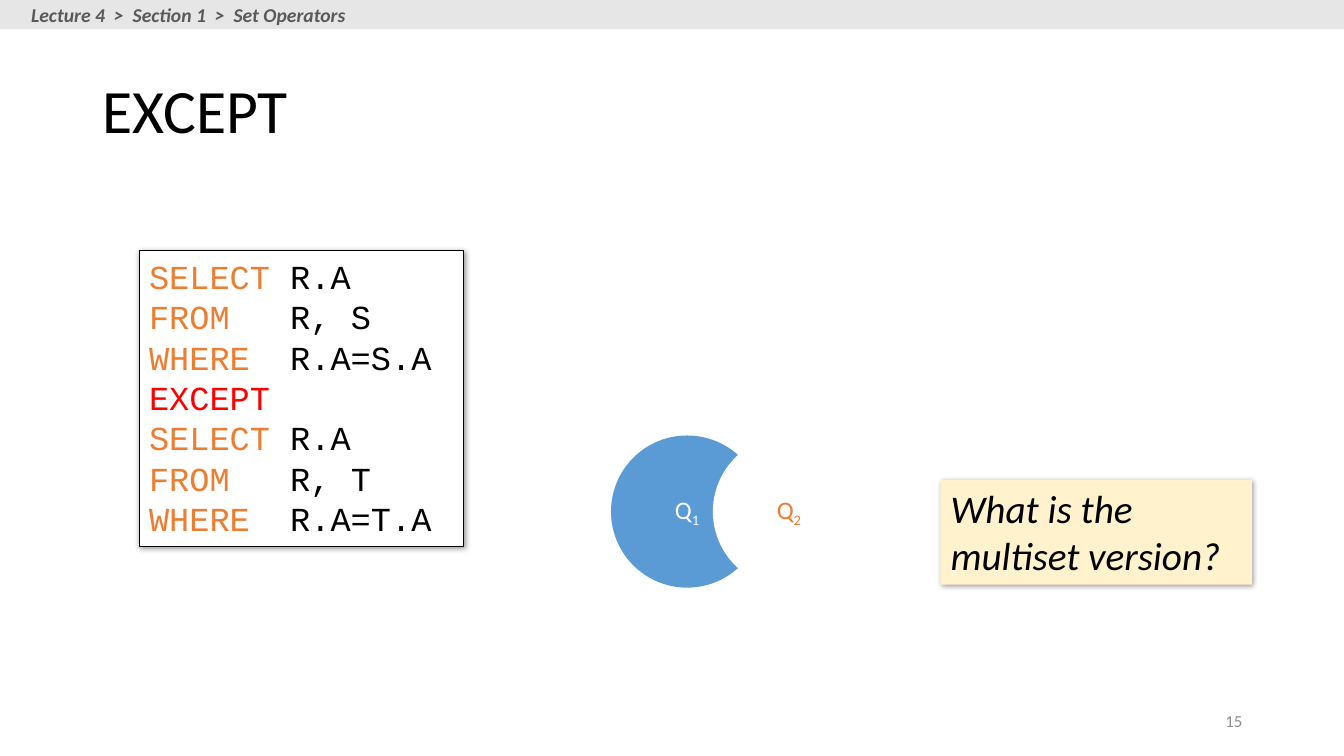
from dataclasses import dataclass

from lxml import etree
from pptx import Presentation
from pptx import util as u
from pptx.dml.color import RGBColor
from pptx.enum import shapes, text
from pptx.oxml.ns import qn


@dataclass(frozen=True)
class Theme:
    """Colours, fonts and type sizes of the deck."""
    body: str = "Calibri"
    mono: str = "Courier New"
    black: str = "000000"
    white: str = "FFFFFF"
    bar: str = "E7E6E6"
    crumb: str = "595959"
    number: str = "8C8C8C"
    keyword: str = "ED7D31"
    operator: str = "FF0000"
    blue: str = "5B9BD5"
    note: str = "FFF2CC"
    title_pt: int = 44
    note_pt: int = 28
    code_pt: int = 24
    label_pt: int = 18
    crumb_pt: int = 14
    number_pt: int = 12


T = Theme()
QUERY = [
    ("SELECT", " R.A"),
    ("FROM", "   R, S"),
    ("WHERE", "  R.A=S.A"),
    ("EXCEPT", ""),
    ("SELECT", " R.A"),
    ("FROM", "   R, T"),
    ("WHERE", "  R.A=T.A"),
]


def inches(*box):
    """Convert a box of numbers to lengths."""
    return [u.Inches(v) for v in box]


def style(p, size, color, name=T.body, bold=False, italic=False):
    """Set the font of a whole paragraph."""
    f = p.font
    f.name, f.size, f.bold, f.italic = name, u.Pt(size), bold, italic
    f.color.rgb = RGBColor.from_string(color)


def add_run(p, words, color=None, baseline=None):
    """Append a run with its own colour or baseline."""
    r = p.add_run()
    r.text = words
    if color:
        r.font.color.rgb = RGBColor.from_string(color)
    if baseline:
        r._r.get_or_add_rPr().set("baseline", str(baseline))


def add_panel(s, kind, box, fill, line=None):
    """Add a filled shape with left-aligned text starting at the top."""
    sp = s.shapes.add_shape(kind, *inches(*box))
    sp.shadow.inherit = False
    sp.fill.solid()
    sp.fill.fore_color.rgb = RGBColor.from_string(fill)
    if line:
        sp.line.color.rgb = RGBColor.from_string(line)
        sp.line.width = u.Pt(0.75)
    else:
        sp.line.fill.background()
    tf = sp.text_frame
    tf.word_wrap = True
    tf.vertical_anchor = text.MSO_ANCHOR.TOP
    tf.paragraphs[0].alignment = text.PP_ALIGN.LEFT
    return sp


def add_shadow(sp):
    """Give a shape a soft shadow to the lower right."""
    effects = sp._element.spPr.find(qn("a:effectLst"))
    shadow = etree.SubElement(effects, qn("a:outerShdw"), blurRad=str(u.Pt(4)),
                              dist=str(u.Pt(1)), dir=str(45 * 60000),
                              algn="tl", rotWithShape="0")
    color = etree.SubElement(shadow, qn("a:srgbClr"), val=T.black)
    etree.SubElement(color, qn("a:alpha"), val="40000")


def add_breadcrumb(s, box, words):
    """Draw the grey bar along the top with the lecture trail."""
    left, top, width, height = box
    add_panel(s, shapes.MSO_SHAPE.RECTANGLE, box, T.bar)
    tb = s.shapes.add_textbox(*inches(left + 0.21, top - 0.02, 3.36, 0.34))
    tb.text_frame.word_wrap = False
    p = tb.text_frame.paragraphs[0]
    p.text = words
    style(p, T.crumb_pt, T.crumb, bold=True, italic=True)


def add_title(s, box, words):
    """Fill and place the title placeholder."""
    sp = s.shapes.title
    sp.left, sp.top, sp.width, sp.height = inches(*box)
    tf = sp.text_frame
    tf.text = words
    tf.auto_size = text.MSO_AUTO_SIZE.NONE
    tf.vertical_anchor = text.MSO_ANCHOR.MIDDLE
    p = tf.paragraphs[0]
    p.alignment = text.PP_ALIGN.LEFT
    p.line_spacing = 0.9
    style(p, T.title_pt, T.black)


def add_query(s, box, lines):
    """Write the SQL query in a framed box with coloured keywords."""
    sp = add_panel(s, shapes.MSO_SHAPE.RECTANGLE, box, T.white, T.black)
    add_shadow(sp)
    tf = sp.text_frame
    for i, (keyword, rest) in enumerate(lines):
        p = tf.add_paragraph() if i else tf.paragraphs[0]
        p.alignment = text.PP_ALIGN.LEFT
        style(p, T.code_pt, T.black, T.mono)
        add_run(p, keyword, T.operator if keyword == "EXCEPT" else T.keyword)
        if rest:
            add_run(p, rest)


def add_difference(s, box):
    """Draw Q1 with the overlapping circle Q2 cut out of it."""
    left, top, width, size = box
    circles = [("1", left, T.blue, T.white),
               ("2", left + width - size, T.white, T.keyword)]
    for index, x, fill, color in circles:
        sp = add_panel(s, shapes.MSO_SHAPE.OVAL, (x, top, size, size), fill)
        sp.text_frame.vertical_anchor = text.MSO_ANCHOR.MIDDLE
        p = sp.text_frame.paragraphs[0]
        p.alignment = text.PP_ALIGN.CENTER
        style(p, T.label_pt, color)
        add_run(p, "Q")
        add_run(p, index, baseline=-25000)


def add_question(s, box, words):
    """Place the shaded question box."""
    sp = add_panel(s, shapes.MSO_SHAPE.RECTANGLE, box, T.note)
    add_shadow(sp)
    p = sp.text_frame.paragraphs[0]
    p.text = words
    style(p, T.note_pt, T.black, italic=True)


def add_number(s, box, number):
    """Place the slide number at the lower right."""
    tf = s.shapes.add_textbox(*inches(*box)).text_frame
    tf.word_wrap = True
    tf.vertical_anchor = text.MSO_ANCHOR.MIDDLE
    p = tf.paragraphs[0]
    p.text = number
    p.alignment = text.PP_ALIGN.RIGHT
    style(p, T.number_pt, T.number)


def main():
    """Build the slide and save it."""
    prs = Presentation()
    prs.slide_width, prs.slide_height = inches(13.33, 7.5)
    s = prs.slides.add_slide(prs.slide_layouts[5])
    add_title(s, (0.92, 0.4, 11.5, 1.45), "EXCEPT")
    add_number(s, (9.42, 6.95, 3, 0.4), "15")
    add_query(s, (1.38, 2.49, 3.22, 2.93), QUERY)
    add_breadcrumb(s, (0, 0, 13.33, 0.29), "Lecture 4  >  Section 1  >  Set Operators")
    add_difference(s, (6.06, 4.32, 2.52, 1.51))
    add_question(s, (9.33, 4.76, 3.09, 1.04), "What is the multiset version?")
    prs.save("out.pptx")


if __name__ == "__main__":
    main()
